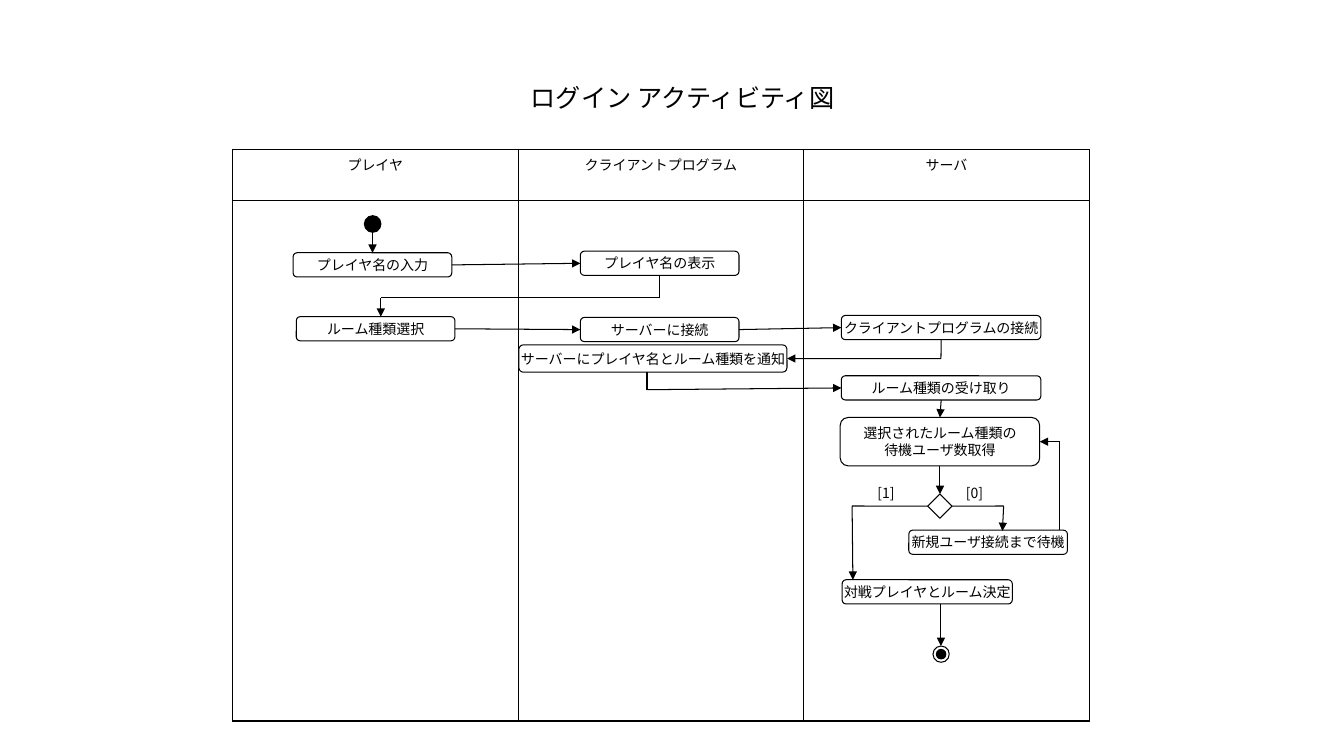
"""Build the swimlane activity diagram of the login process."""
from dataclasses import dataclass
from typing import Any, NamedTuple

from lxml.etree import SubElement
from pptx import Presentation
from pptx.dml.color import RGBColor
from pptx.enum.shapes import MSO_CONNECTOR as Link, MSO_SHAPE as Shape
from pptx.enum.text import MSO_ANCHOR as Anchor, MSO_AUTO_SIZE as AutoSize, PP_ALIGN as Align
from pptx.oxml.ns import qn
from pptx.util import Cm, Pt


@dataclass(frozen=True)
class Theme:
    ink: RGBColor = RGBColor(0, 0, 0)
    paper: RGBColor = RGBColor(255, 255, 255)
    latin: str = "Times New Roman"
    japanese: str = "Noto Sans CJK JP"
    title: float = 18
    body: float = 10
    line: float = 0.75
    dot_line: float = 1
    outer_border: float = 1.08
    inner_border: float = 0.45


class Node(NamedTuple):
    key: str
    left: float
    top: float
    width: float
    height: float = 0.61
    text: str = ""
    kind: Shape = Shape.ROUNDED_RECTANGLE


class Dot(NamedTuple):
    left: float
    top: float
    size: float
    fill: RGBColor
    line: float


class Label(NamedTuple):
    left: float
    top: float
    width: float
    height: float
    text: str
    size: float


class Point(NamedTuple):
    x: float
    y: float


class Port(NamedTuple):
    key: str
    side: int


class Flow(NamedTuple):
    start: Point | Port
    end: Point | Port
    arrow: bool = True


THEME = Theme()
TOP, LEFT, BOTTOM, RIGHT = range(4)
LANES = ("プレイヤ", "クライアントプログラム", "サーバ")
LANE_LEFT, LANE_TOP, LANE_WIDTH = 5.86, 3.77, 7.2
LANE_ROWS = (1.28, 13.12)

NODES = (
    Node("enter", 7.39, 6.37, 4, text="プレイヤ名の入力"),
    Node("show", 14.63, 6.33, 4, text="プレイヤ名の表示"),
    Node("select", 7.47, 7.98, 4, text="ルーム種類選択"),
    Node("connect", 14.63, 8, 4, text="サーバーに接続"),
    Node("accept", 21.21, 7.95, 5.03, text="クライアントプログラムの接続"),
    Node("notify", 13.08, 8.69, 6.76, 0.69, "サーバーにプレイヤ名とルーム種類を通知"),
    Node("receive", 21.21, 9.47, 5.03, text="ルーム種類の受け取り"),
    Node("count", 21.18, 10.52, 5.03, 1.22, "選択されたルーム種類の\n待機ユーザ数取得"),
    Node("branch", 23.39, 12.45, 0.61, kind=Shape.DIAMOND),
    Node("wait", 22.91, 13.36, 4, text="新規ユーザ接続まで待機"),
    Node("decide", 21.23, 14.61, 4.29, text="対戦プレイヤとルーム決定"),
)
DOTS = (
    Dot(9.19, 5.44, 0.41, THEME.ink, THEME.dot_line),
    Dot(23.52, 16.28, 0.41, THEME.paper, THEME.line),
    Dot(23.61, 16.37, 0.23, THEME.ink, THEME.dot_line),
)
LABELS = (
    Label(13.13, 1.96, 8.28, 1.02, "ログイン アクティビティ図", THEME.title),
    Label(21.87, 12.09, 0.94, 0.69, "[1]", THEME.body),
    Label(24.1, 12.09, 0.94, 0.69, "[0]", THEME.body),
)
FLOWS = (
    Flow(Point(9.39, 5.85), Port("enter", TOP)),
    Flow(Port("enter", RIGHT), Port("show", LEFT)),
    Flow(Port("show", BOTTOM), Point(16.63, 7.52), False),
    Flow(Point(16.63, 7.5), Point(9.6, 7.5), False),
    Flow(Point(9.6, 7.5), Point(9.6, 7.98)),
    Flow(Port("select", RIGHT), Port("connect", LEFT)),
    Flow(Port("connect", RIGHT), Port("accept", LEFT)),
    Flow(Port("accept", BOTTOM), Point(23.72, 9.04), False),
    Flow(Point(23.72, 9.04), Port("notify", RIGHT)),
    Flow(Point(16.31, 9.38), Point(16.31, 9.83), False),
    Flow(Point(16.31, 9.82), Port("receive", LEFT)),
    Flow(Port("receive", BOTTOM), Port("count", TOP)),
    Flow(Port("count", BOTTOM), Port("branch", TOP)),
    Flow(Port("branch", LEFT), Point(21.48, 12.75), False),
    Flow(Point(21.48, 12.75), Point(21.5, 14.61)),
    Flow(Port("branch", RIGHT), Point(25.3, 12.75), False),
    Flow(Point(25.3, 12.75), Point(25.27, 13.38)),
    Flow(Point(26.72, 13.36), Point(26.72, 11.13), False),
    Flow(Point(26.72, 11.13), Port("count", RIGHT)),
    Flow(Point(23.72, 15.22), Point(23.72, 16.28)),
)


def apply(target: Any, formats: dict[str, Any]) -> None:
    """Set every named attribute on the target."""
    for name, value in formats.items():
        setattr(target, name, value)


def write(tf: Any, text: str, size: float, latin: str, **paragraph: Any) -> None:
    """Write the lines of a text as formatted paragraphs."""
    for i, line in enumerate(text.split("\n")):
        p = tf.add_paragraph() if i else tf.paragraphs[0]
        apply(p, paragraph)
        r = p.add_run()
        r.text = line
        apply(r.font, {"size": Pt(size), "name": latin})
        r.font.color.rgb = THEME.ink
        SubElement(r.font._element, qn("a:ea"), typeface=THEME.japanese)


def paint(sp: Any, fill: RGBColor, width: float) -> None:
    """Give a shape a plain fill and outline."""
    sp.shadow.inherit = False
    sp.fill.solid()
    sp.fill.fore_color.rgb = fill
    sp.line.color.rgb = THEME.ink
    sp.line.width = Pt(width)


def border(cell: Any, widths: dict[str, float]) -> None:
    """Draw the four borders of a table cell."""
    tc_pr = cell._tc.get_or_add_tcPr()
    for side, width in widths.items():
        ln = SubElement(tc_pr, qn(f"a:ln{side}"), w=str(Pt(width)))
        fill = SubElement(ln, qn("a:solidFill"))
        SubElement(fill, qn("a:srgbClr"), val=str(THEME.ink))


def add_lanes(s: Any) -> None:
    """Draw the swimlanes as a table."""
    tbl = s.shapes.add_table(len(LANE_ROWS), len(LANES), Cm(LANE_LEFT), Cm(LANE_TOP),
                             Cm(LANE_WIDTH * len(LANES)), Cm(sum(LANE_ROWS))).table
    apply(tbl, {"first_row": False, "horz_banding": False})
    outer, inner = THEME.outer_border, THEME.inner_border
    for i, height in enumerate(LANE_ROWS):
        tbl.rows[i].height = Cm(height)
        for j, lane in enumerate(LANES):
            tbl.columns[j].width = Cm(LANE_WIDTH)
            cell = tbl.cell(i, j)
            edges = {"L": j == 0, "R": j == len(LANES) - 1, "T": i == 0, "B": i == len(LANE_ROWS) - 1}
            border(cell, {side: outer if edge else inner for side, edge in edges.items()})
            cell.fill.background()
            if i == 0:
                write(cell.text_frame, lane, THEME.body, THEME.latin,
                      alignment=Align.CENTER, space_before=Pt(2.5))


def add_node(s: Any, node: Node) -> Any:
    """Draw an activity or a decision."""
    sp = s.shapes.add_shape(node.kind, Cm(node.left), Cm(node.top), Cm(node.width), Cm(node.height))
    paint(sp, THEME.paper, THEME.line)
    if node.text:
        apply(sp.text_frame, {"word_wrap": False, "vertical_anchor": Anchor.MIDDLE})
        write(sp.text_frame, node.text, THEME.body, THEME.latin, alignment=Align.CENTER)
    return sp


def add_dot(s: Any, dot: Dot) -> None:
    """Draw one circle of a start or end marker."""
    sp = s.shapes.add_shape(Shape.OVAL, Cm(dot.left), Cm(dot.top), Cm(dot.size), Cm(dot.size))
    paint(sp, dot.fill, dot.line)


def add_label(s: Any, label: Label) -> None:
    """Place a free text."""
    sp = s.shapes.add_textbox(Cm(label.left), Cm(label.top), Cm(label.width), Cm(label.height))
    apply(sp.text_frame, {"word_wrap": False, "auto_size": AutoSize.SHAPE_TO_FIT_TEXT})
    write(sp.text_frame, label.text, label.size, THEME.japanese)


def add_flow(s: Any, flow: Flow, nodes: dict[str, Any]) -> None:
    """Draw a flow line and join it to its nodes."""
    start, end = (Point(0, 0) if isinstance(at, Port) else at for at in (flow.start, flow.end))
    cxn = s.shapes.add_connector(Link.STRAIGHT, Cm(start.x), Cm(start.y), Cm(end.x), Cm(end.y))
    for at, join in ((flow.start, cxn.begin_connect), (flow.end, cxn.end_connect)):
        if isinstance(at, Port):
            join(nodes[at.key], at.side)
    cxn.line.color.rgb = THEME.ink
    cxn.line.width = Pt(THEME.line)
    if flow.arrow:
        SubElement(cxn.line._get_or_add_ln(), qn("a:tailEnd"), type="triangle")
    SubElement(cxn._element.spPr, qn("a:effectLst"))


def main() -> None:
    """Build and save the slide."""
    prs = Presentation()
    apply(prs, {"slide_width": Cm(33.88), "slide_height": Cm(19.05)})
    s = prs.slides.add_slide(prs.slide_layouts[6])
    add_lanes(s)
    nodes = {node.key: add_node(s, node) for node in NODES}
    for flow in FLOWS:
        add_flow(s, flow, nodes)
    for dot in DOTS:
        add_dot(s, dot)
    for label in LABELS:
        add_label(s, label)
    prs.save("out.pptx")


if __name__ == "__main__":
    main()
